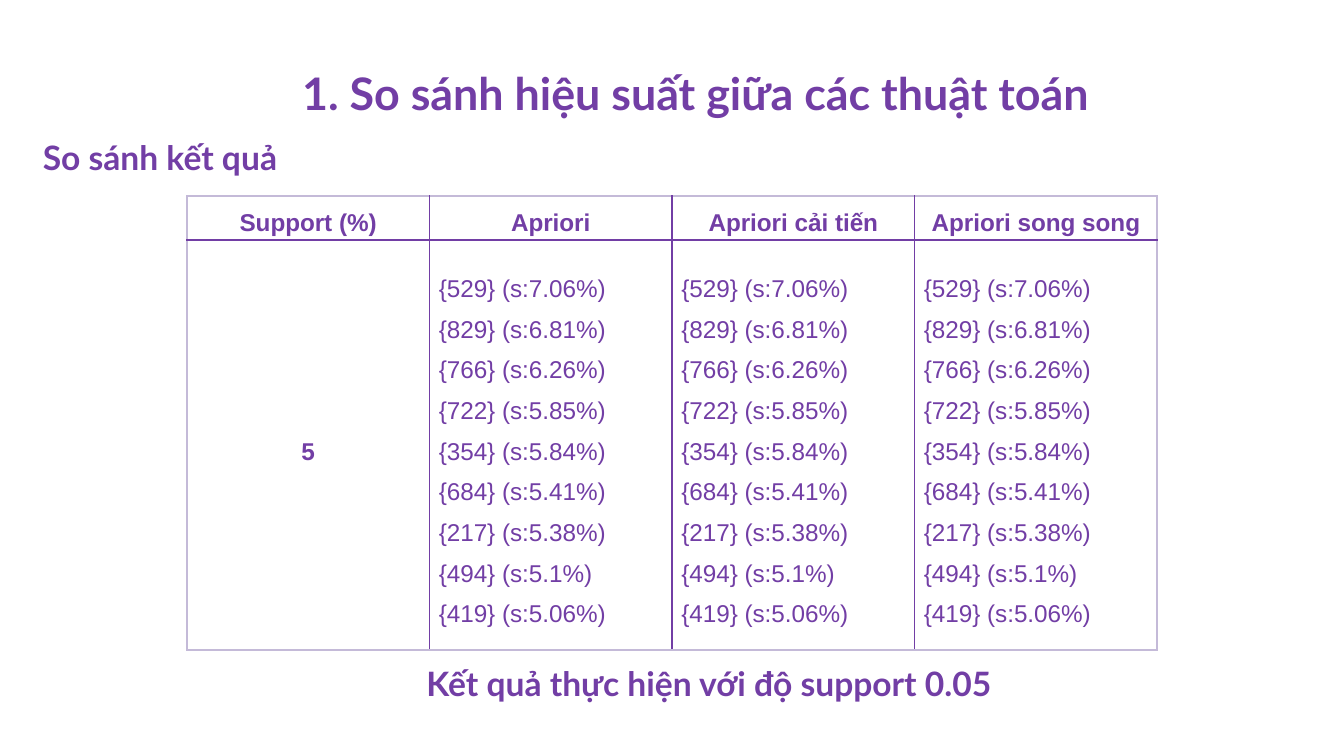
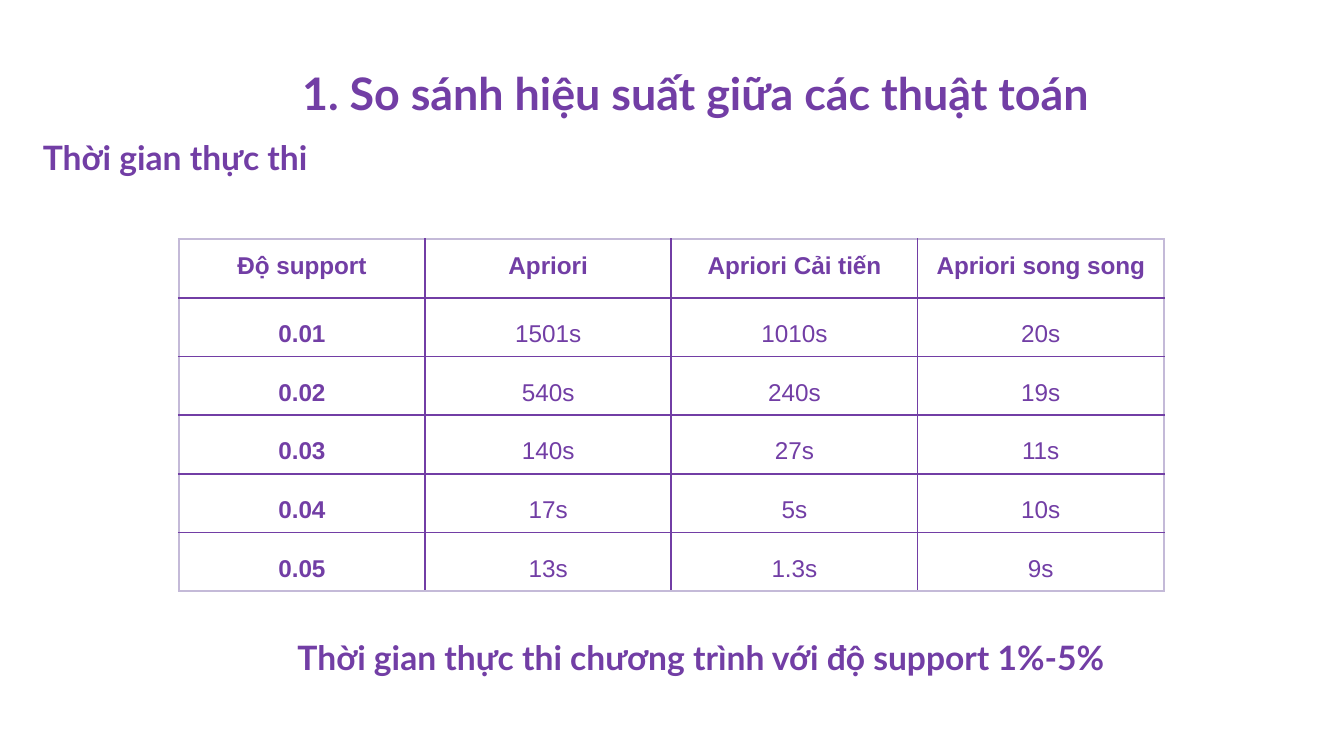
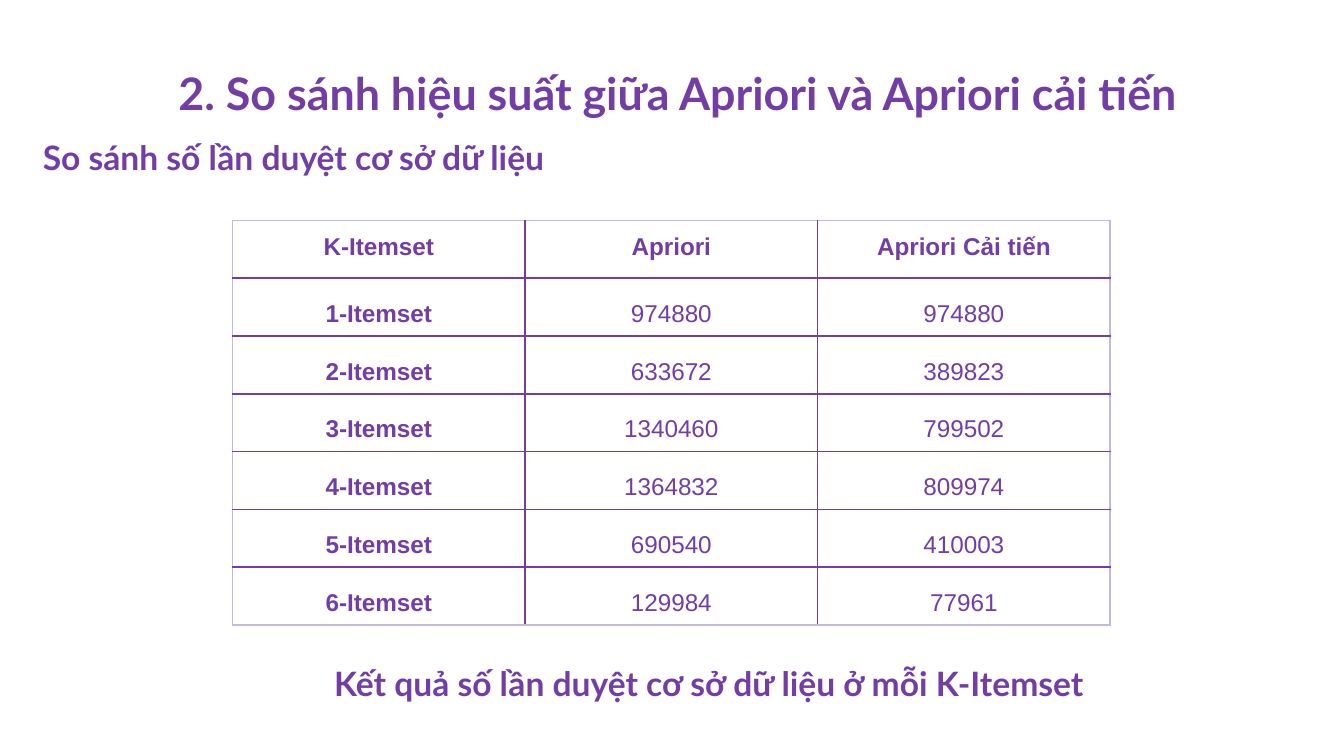
from lxml import etree
from pptx import Presentation
from pptx.dml.color import RGBColor
from pptx.enum.text import MSO_ANCHOR, PP_ALIGN
from pptx.oxml.ns import qn
from pptx.util import Inches, Pt

PURPLE = RGBColor(0x72, 0x3E, 0xA5)
PALE_PURPLE = RGBColor(0xC4, 0xBA, 0xD8)
WHITE = RGBColor(0xFF, 0xFF, 0xFF)
HEADING_FONT = "Lato"
TABLE_FONT = "Arial"

PERFORMANCE_TITLE = "1. So sánh hiệu suất giữa các thuật toán"
FREQUENT_ITEMS = [
    "{529} (s:7.06%)", "{829} (s:6.81%)", "{766} (s:6.26%)",
    "{722} (s:5.85%)", "{354} (s:5.84%)", "{684} (s:5.41%)",
    "{217} (s:5.38%)", "{494} (s:5.1%)", "{419} (s:5.06%)",
]
RESULTS = [
    ["Support (%)", "Apriori", "Apriori cải tiến", "Apriori song song"],
    ["5"] + [FREQUENT_ITEMS] * 3,
]
RUN_TIMES = [
    ["Độ support", "Apriori", "Apriori Cải tiến", "Apriori song song"],
    ["0.01", "1501s", "1010s", "20s"],
    ["0.02", "540s", "240s", "19s"],
    ["0.03", "140s", "27s", "11s"],
    ["0.04", "17s", "5s", "10s"],
    ["0.05", "13s", "1.3s", "9s"],
]
SCAN_COUNTS = [
    ["K-Itemset", "Apriori", "Apriori Cải tiến"],
    ["1-Itemset", "974880", "974880"],
    ["2-Itemset", "633672", "389823"],
    ["3-Itemset", "1340460", "799502"],
    ["4-Itemset", "1364832", "809974"],
    ["5-Itemset", "690540", "410003"],
    ["6-Itemset", "129984", "77961"],
]


class Slides:
    """Holds the deck style and the page being built."""

    def __init__(self):
        self.deck = Presentation()
        # Widescreen, 16:9
        self.deck.slide_width = Inches(10)
        self.deck.slide_height = Inches(10) * 9 // 16
        self.page = None

    def new_page(self):
        self.page = self.deck.slides.add_slide(self.deck.slide_layouts[6])
        self.page.background.fill.solid()
        self.page.background.fill.fore_color.rgb = WHITE

    def add_span(self, para, text, font, size, bold):
        span = para.add_run()
        span.text = text
        span.font.name = font
        span.font.size = Pt(size)
        span.font.bold = bold
        span.font.color.rgb = PURPLE

    def heading(self, text, left, top, width, height, size=18,
                anchor=MSO_ANCHOR.BOTTOM, align=PP_ALIGN.LEFT):
        box = self.page.shapes.add_textbox(
            Inches(left), Inches(top), Inches(width), Inches(height))
        frame = box.text_frame
        frame.word_wrap = True
        frame.vertical_anchor = anchor
        frame.margin_left = frame.margin_right = Inches(0.1)
        frame.margin_top = frame.margin_bottom = Inches(0.1)
        para = frame.paragraphs[0]
        para.alignment = align
        self.add_span(para, text, HEADING_FONT, size, True)

    def title(self, text, left=2.15, width=7.28):
        self.heading(text, left, 0.39, width, 1.03, 24, MSO_ANCHOR.TOP)

    def subtitle(self, text):
        self.heading(text, 0.22, 0.95, 8.89, 0.47)

    def caption(self, text, left=2.15, top=4.86, width=6.25):
        self.heading(text, left, top, width, 0.47, align=PP_ALIGN.CENTER)

    def border(self, cell, side, color):
        line = etree.SubElement(cell._tc.get_or_add_tcPr(), qn(f"a:{side}"),
                                w=str(Pt(1)))
        fill = etree.SubElement(line, qn("a:solidFill"))
        etree.SubElement(fill, qn("a:srgbClr"), val=str(color))

    def table(self, rows, left, top, width, height, header_height=None):
        """Each cell holds one string, or a list with one line per item."""
        count = len(rows[0])
        header_height = header_height or height / len(rows)
        body_height = (height - header_height) / (len(rows) - 1)
        table = self.page.shapes.add_table(
            len(rows), count, Inches(left), Inches(top),
            Inches(width), Inches(height)).table
        table.first_row = table.horz_banding = False
        for column in table.columns:
            column.width = Inches(width / count)
        for i, values in enumerate(rows):
            table.rows[i].height = Inches(body_height if i else header_height)
            for j, value in enumerate(values):
                cell = table.cell(i, j)
                self.fill_cell(cell, value, i == 0, i == 0 or j == 0)
                outer_edges = {"lnL": j == 0, "lnR": j == count - 1,
                               "lnT": i == 0, "lnB": i == len(rows) - 1}
                for side, outer in outer_edges.items():
                    self.border(cell, side, PALE_PURPLE if outer else PURPLE)
                cell.fill.background()

    def fill_cell(self, cell, value, header, bold):
        cell.margin_left = cell.margin_right = Inches(0.07)
        cell.margin_top = cell.margin_bottom = 0
        cell.vertical_anchor = MSO_ANCHOR.TOP if header else MSO_ANCHOR.MIDDLE
        is_list = isinstance(value, list)
        frame = cell.text_frame
        for n, text in enumerate(value if is_list else [value]):
            para = frame.add_paragraph() if n else frame.paragraphs[0]
            para.alignment = PP_ALIGN.LEFT if is_list else PP_ALIGN.CENTER
            para.line_spacing = 1.5
            self.add_span(para, text, TABLE_FONT, 13, bold)


def main():
    slides = Slides()

    # Results of the three algorithms
    slides.new_page()
    slides.title(PERFORMANCE_TITLE)
    slides.subtitle("So sánh kết quả")
    slides.caption("Kết quả thực hiện với độ support 0.05")
    slides.table(RESULTS, 1.39, 1.46, 7.22, 3.36, header_height=0.31)

    # Run times
    slides.new_page()
    slides.title(PERFORMANCE_TITLE)
    slides.subtitle("Thời gian thực thi")
    slides.caption("Thời gian thực thi chương trình với độ support 1%-5%",
                   1.89, 4.67, 6.65)
    slides.table(RUN_TIMES, 1.33, 1.78, 7.33, 2.62)

    # Database scans
    slides.new_page()
    slides.title("2. So sánh hiệu suất giữa Apriori và Apriori cải tiến",
                 1.23, 8.54)
    slides.subtitle("So sánh số lần duyệt cơ sở dữ liệu")
    slides.caption("Kết quả số lần duyệt cơ sở dữ liệu ở mỗi K-Itemset")
    slides.table(SCAN_COUNTS, 1.73, 1.64, 6.53, 3.01)

    slides.deck.save("out.pptx")


if __name__ == "__main__":
    main()
